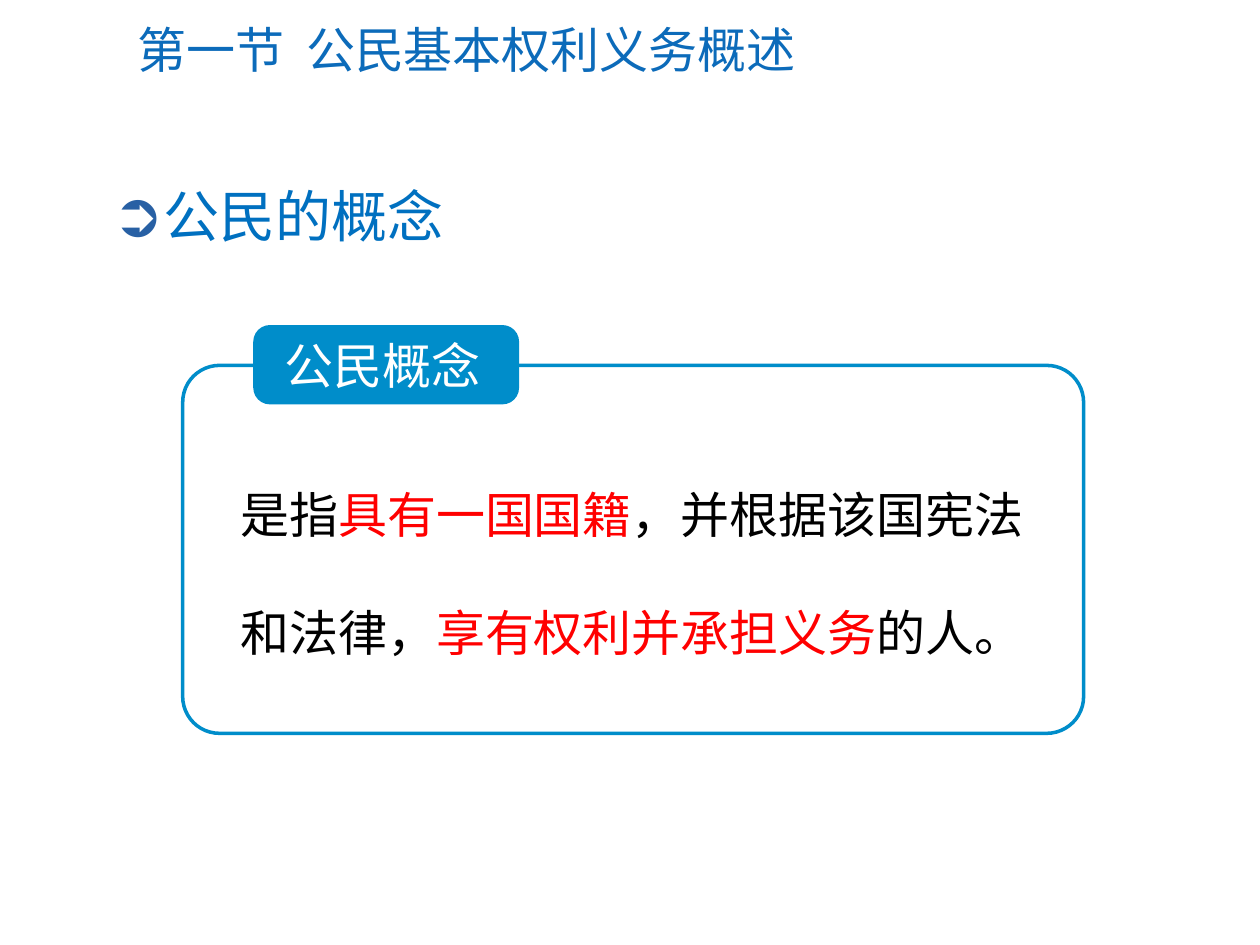
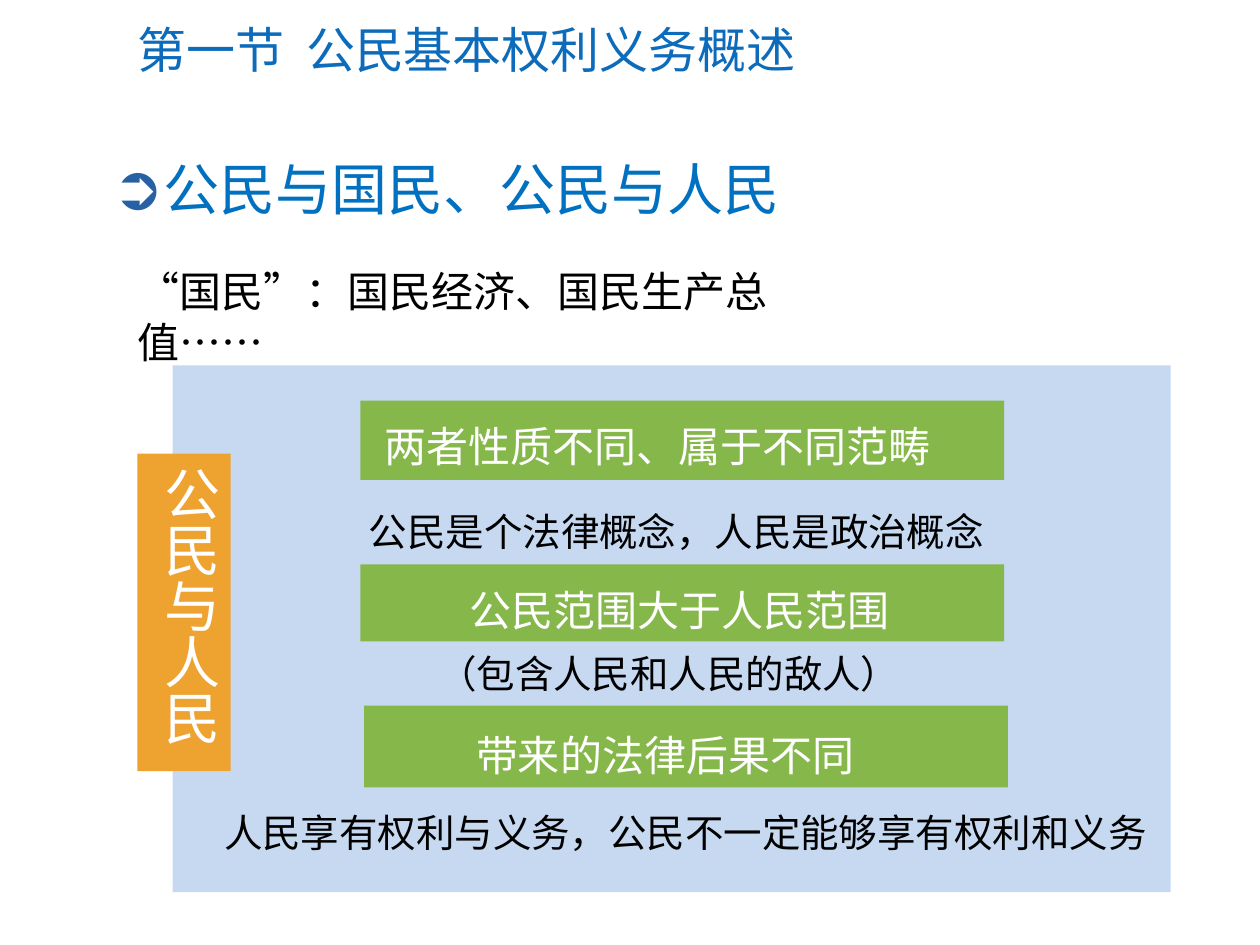
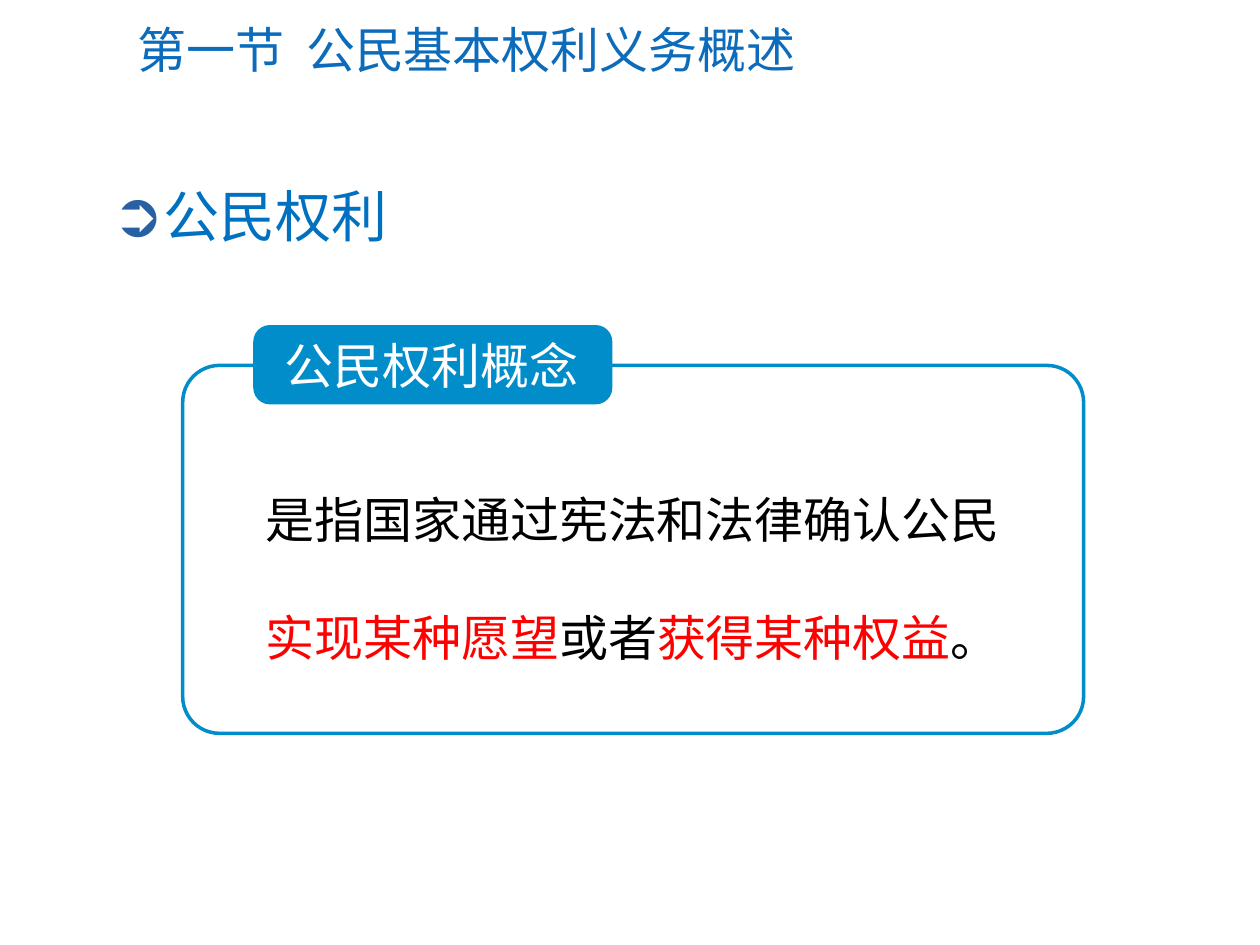
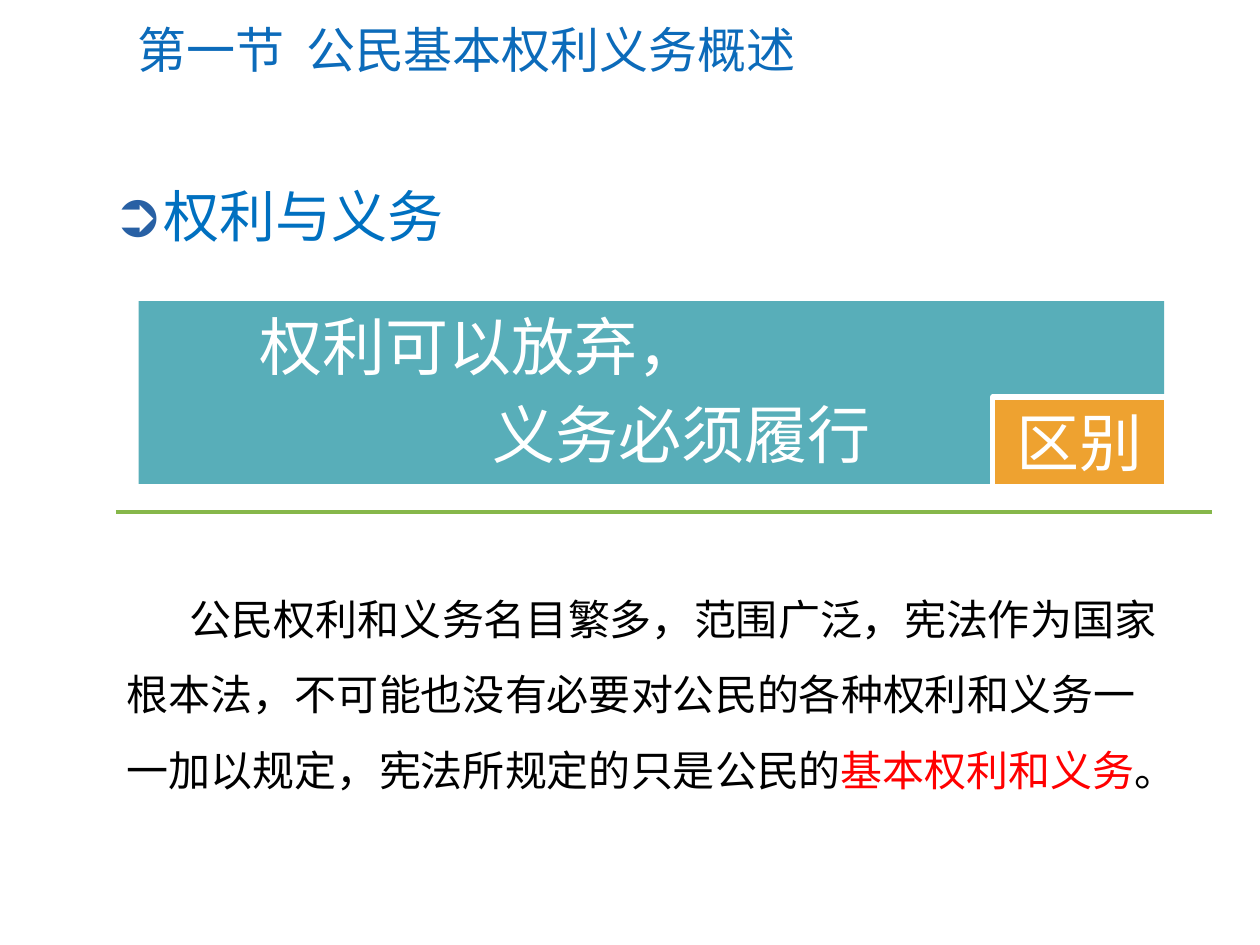
from lxml import etree
from pptx import Presentation
from pptx.dml.color import RGBColor
from pptx.enum.lang import MSO_LANGUAGE_ID
from pptx.enum.shapes import MSO_CONNECTOR, MSO_SHAPE
from pptx.enum.text import MSO_ANCHOR, MSO_AUTO_SIZE, PP_ALIGN
from pptx.oxml.ns import qn
from pptx.util import Inches, Pt

RECT, ROUND = MSO_SHAPE.RECTANGLE, MSO_SHAPE.ROUNDED_RECTANGLE
LEFT, CENTER, RIGHT = PP_ALIGN.LEFT, PP_ALIGN.CENTER, PP_ALIGN.RIGHT
TOP, MIDDLE = MSO_ANCHOR.TOP, MSO_ANCHOR.MIDDLE
CHINESE = MSO_LANGUAGE_ID.SIMPLIFIED_CHINESE

COLORS = {
    "title": "0C6BBA", "heading": "0070C0", "bullet": "2860A4",
    "frame": "008DCA", "panel": "C6D9F1", "green": "86B74A",
    "orange": "EEA230", "teal": "58AEB9",
    "text": "000000", "accent": "FF0000", "white": "FFFFFF",
}
LATIN, HAN = "Calibri", "Noto Sans CJK SC"
COLUMNS, ROWS = 100, 75
SECTION = "第一节  公民基本权利义务概述"


def color(name):
    return RGBColor.from_string(COLORS[name])


def add_xml(parent, tag, **attributes):
    return etree.SubElement(parent, qn(tag), attributes)


class Deck:
    def __init__(self):
        self.deck = Presentation()
        self.deck.slide_width, self.deck.slide_height = Inches(10), Inches(7.5)
        self.column = self.deck.slide_width / COLUMNS
        self.row = self.deck.slide_height / ROWS
        self.page = None

    def area(self, left, top, width, height):
        """Turn grid columns and rows into slide lengths."""
        return (round(left * self.column), round(top * self.row),
                round(width * self.column), round(height * self.row))

    def place(self, box, area):
        box.left, box.top, box.width, box.height = self.area(*area)

    def new_page(self, heading, heading_row=13.9):
        self.page = self.deck.slides.add_slide(self.deck.slide_layouts[1])
        title, body = self.page.placeholders
        self.place(title, (9.9, 1, 87.2, 5.8))
        self.fill_text(title, [[(SECTION, "title")]], 28, LATIN, anchor=MIDDLE)
        self.place(body, (7.9, heading_row, 83.4, 6.4))
        para = body.text_frame.paragraphs[0]
        self.add_bullet(para)
        self.fill_text(body, [[(heading, "heading")]], 32, LATIN)

    def add_bullet(self, para):
        props = para._p.get_or_add_pPr()
        props.set("marL", str(Inches(0.38)))
        props.set("indent", str(-Inches(0.38)))
        add_xml(add_xml(props, "a:buClr"), "a:srgbClr", val=COLORS["bullet"])
        add_xml(props, "a:buSzPct", val="110000")
        add_xml(props, "a:buChar", char="➲")

    def fill_text(self, box, paras, size, font=HAN, spacing=None, anchor=TOP,
                  aligns=(LEFT,)):
        """Fill a box; each paragraph is a list of (words, color name) runs."""
        frame = box.text_frame
        frame.word_wrap = True
        frame.auto_size = MSO_AUTO_SIZE.NONE
        frame.vertical_anchor = anchor
        for index, runs in enumerate(paras):
            para = frame.add_paragraph() if index else frame.paragraphs[0]
            para.alignment = aligns[index]
            para.space_before = Pt(0.2 * size if index else 0)
            if spacing:
                para.line_spacing = spacing
            for words, tone in runs:
                span = para.add_run()
                span.text = words
                span.font.size = Pt(size)
                span.font.name = font
                span.font.language_id = CHINESE
                span.font.color.rgb = color(tone)
                add_xml(span.font._element, "a:ea", typeface=HAN)

    def text(self, area, paras, size, font=HAN, **style):
        box = self.page.shapes.add_textbox(*self.area(*area))
        self.fill_text(box, paras, size, font, **style)
        return box

    def shape(self, area, fill, kind=RECT, corner=None, line=None, width=1):
        box = self.page.shapes.add_shape(kind, *self.area(*area))
        box.shadow.inherit = False
        box.fill.solid()
        box.fill.fore_color.rgb = color(fill)
        if corner:
            box.adjustments[0] = corner
        if line:
            box.line.color.rgb = color(line)
            box.line.width = Pt(width)
        else:
            box.line.fill.background()
        return box

    def rule(self, left, right, row, tone, width):
        x, y, length, _ = self.area(left, row, right - left, 0)
        line = self.page.shapes.add_connector(
            MSO_CONNECTOR.STRAIGHT, x, y, x + length, y)
        line.line.color.rgb = color(tone)
        line.line.width = Pt(width)
        add_xml(line._element.spPr, "a:effectLst")

    def definition(self, label, label_width, text_area, runs):
        """Draw a rounded frame with a label on its edge and a definition."""
        frame = self.shape((14.5, 29, 71.5, 29.2), "white", ROUND, 0.1,
                           "frame", 2)
        white = frame._element.spPr.find(qn("a:solidFill"))[0]
        add_xml(white, "a:alpha", val="90000")
        tag = self.shape((20.1, 25.8, label_width, 6.3), "frame", ROUND, 0.21)
        margins = tag.text_frame
        margins.margin_left = margins.margin_right = Inches(0.21)
        margins.margin_top = margins.margin_bottom = Inches(0.03)
        self.fill_text(tag, [[(label, "white")]], 28, LATIN, anchor=MIDDLE)
        self.text(text_area, [runs], 28, spacing=2)


def citizen_page(deck):
    deck.new_page("公民的概念")
    deck.definition("公民概念", 21.1, (18.1, 33.3, 64.4, 19.9), [
        ("是指", "text"), ("具有一国国籍", "accent"),
        ("，并根据该国宪法和法律，", "text"),
        ("享有权利并承担义务", "accent"), ("的人。", "text")])


def people_page(deck):
    deck.new_page("公民与国民、公民与人民", 11.8)
    deck.shape((13.7, 29, 79.2, 41.8), "panel")
    bars = [
        ((28.6, 31.8, 51.1, 6.3), (29.5, 30.9, 59.1, 9.5), "两者性质不同、属于不同范畴"),
        ((28.6, 44.8, 51.1, 6.1), (36.3, 43.9, 49.7, 7.9), "公民范围大于人民范围"),
        ((28.9, 56, 51.1, 6.5), (36.8, 55.4, 51.4, 9.8), "带来的法律后果不同"),
    ]
    for bar, label, words in bars:
        deck.shape(bar, "green")
        deck.text(label, [[(words, "white")]], 24, spacing=1.5)
    banner = deck.shape((10.9, 36, 7.4, 25.2), "orange")
    deck.fill_text(banner, [[("公民与人民", "white")]], 32)
    banner.text_frame._txBody.bodyPr.set("vert", "eaVert")
    deck.text((9.9, 20.6, 60.5, 5),
              [[("“国民”：国民经济、国民生产总值……", "text")]], 24, LATIN)
    notes = [
        ((28.3, 39.8, 51.4, 4.7), "公民是个法律概念，人民是政治概念"),
        ((33.8, 51.1, 39, 4.7), "（包含人民和人民的敌人）"),
        ((16.8, 63.7, 76.1, 4.7), "人民享有权利与义务，公民不一定能够享有权利和义务"),
    ]
    for area, words in notes:
        deck.text(area, [[(words, "text")]], 22)


def rights_page(deck):
    deck.new_page("公民权利")
    deck.definition("公民权利概念", 28.5, (20.1, 33.7, 62.6, 19.9), [
        ("是指国家通过宪法和法律确认公民", "text"),
        ("实现某种愿望", "accent"), ("或者", "text"),
        ("获得某种权益", "accent"), ("。", "text")])


def duties_page(deck):
    deck.new_page("权利与义务")
    deck.rule(9.2, 96.2, 40.6, "green", 2.25)
    deck.shape((11, 23.9, 81.4, 14.5), "teal")
    deck.text((19.6, 23.9, 50.5, 14.3),
              [[("权利可以放弃，", "white")], [("义务必须履行", "white")]],
              36, LATIN, aligns=(LEFT, RIGHT))
    summary = deck.text((9.1, 44.6, 84.6, 19.2), [[
        ("公民权利和义务名目繁多，范围广泛，宪法作为国家根本法，"
         "不可能也没有必要对公民的各种权利和义务一一加以规定，"
         "宪法所规定的只是公民的", "text"),
        ("基本权利和义务", "accent"), ("。", "text")]],
        24, LATIN, spacing=1.5)
    props = summary.text_frame.paragraphs[0]._p.get_or_add_pPr()
    props.set("indent", str(Inches(0.5)))
    tag = deck.shape((78.8, 31.5, 13.8, 7.1), "orange", line="white", width=3)
    deck.fill_text(tag, [[("区别", "white")]], 36, anchor=MIDDLE,
                   aligns=(CENTER,))


def main():
    deck = Deck()
    for build in (citizen_page, people_page, rights_page, duties_page):
        build(deck)
    deck.deck.save("out.pptx")


if __name__ == "__main__":
    main()
